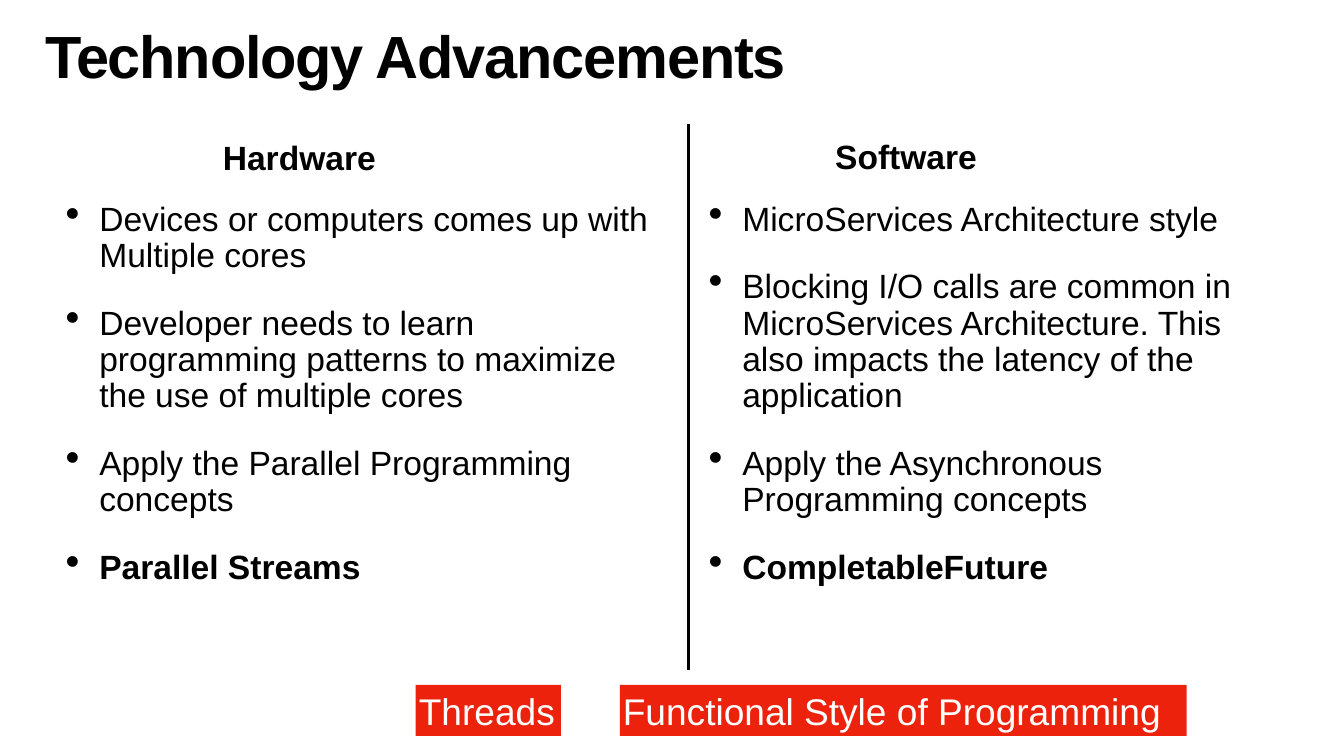
"""Build the Technology Advancements slide: two bulleted columns and two tags."""
from dataclasses import dataclass

from lxml import etree
from pptx import Presentation
from pptx.dml.color import RGBColor
from pptx.enum.shapes import MSO_CONNECTOR, MSO_SHAPE
from pptx.enum.text import MSO_ANCHOR, PP_ALIGN
from pptx.oxml.ns import qn
from pptx.util import Inches, Pt

LEFT, CENTER = PP_ALIGN.LEFT, PP_ALIGN.CENTER
TOP, MIDDLE = MSO_ANCHOR.TOP, MSO_ANCHOR.MIDDLE
STRAIGHT, RECTANGLE = MSO_CONNECTOR.STRAIGHT, MSO_SHAPE.RECTANGLE


@dataclass(frozen=True)
class Theme:
    font: str = "Arial"
    ink: RGBColor = RGBColor(0x00, 0x00, 0x00)
    paper: RGBColor = RGBColor(0xFF, 0xFF, 0xFF)
    accent: RGBColor = RGBColor(0xED, 0x22, 0x0D)
    title_size: int = 85
    body_size: int = 48
    tag_size: int = 53
    rule_width: int = 4
    inset: float = 0.06
    indent: float = 0.67


@dataclass(frozen=True)
class Area:
    left: float
    top: float
    width: float
    height: float

    def lengths(self) -> tuple:
        return tuple(Inches(side) for side in (self.left, self.top, self.width, self.height))


@dataclass(frozen=True)
class Column:
    heading: str
    heading_area: Area
    list_area: Area
    items: tuple[str, ...]


@dataclass(frozen=True)
class Tag:
    text: str
    area: Area


THEME = Theme()
COLUMNS = (
    Column("Hardware", Area(3.78, 2.66, 4.32, 0.9), Area(1.24, 3.95, 11.78, 9.03), (
        "Devices or computers comes up with Multiple cores",
        "Developer needs to learn programming patterns to maximize the use of multiple cores",
        "Apply the Parallel Programming concepts",
        "Parallel Streams",
    )),
    Column("Software", Area(16.49, 2.64, 2.98, 0.9), Area(14, 3.95, 11.69, 9.03), (
        "MicroServices Architecture style",
        "Blocking I/O calls are common in MicroServices Architecture. "
        "This also impacts the latency of the application",
        "Apply the Asynchronous Programming concepts",
        "CompletableFuture",
    )),
)
TAGS = (
    Tag("Functional Style of Programming", Area(12.3, 13.59, 11.25, 1.01)),
    Tag("Threads", Area(8.25, 13.59, 2.88, 1.01)),
)


def set_frame(frame, anchor) -> None:
    frame.word_wrap = True
    frame.vertical_anchor = anchor
    frame.margin_left = frame.margin_right = Inches(THEME.inset)
    frame.margin_top = frame.margin_bottom = Inches(THEME.inset)


def write(para, text: str, *, size: int, color=THEME.ink, bold=False, align=LEFT,
          line_spacing=1.0, tracking=0.0) -> None:
    para.alignment = align
    para.line_spacing = line_spacing
    span = para.add_run()
    span.text = text
    span.font.name = THEME.font
    span.font.size = Pt(size)
    span.font.bold = bold
    span.font.color.rgb = color
    if tracking:
        span.font._element.set("spc", str(round(tracking * 100)))


def add_bullet(para) -> None:
    para.space_before = Pt(45)
    properties = para._p.get_or_add_pPr()
    properties.set("marL", str(Inches(THEME.indent)))
    properties.set("indent", str(-Inches(THEME.indent)))
    etree.SubElement(properties, qn("a:buSzPct"), val="123000")
    etree.SubElement(properties, qn("a:buChar"), char="•")


def add_label(page, area: Area, text: str, *, anchor=TOP, **text_format) -> None:
    box = page.shapes.add_textbox(*area.lengths())
    set_frame(box.text_frame, anchor)
    write(box.text_frame.paragraphs[0], text, **text_format)


def add_list(page, area: Area, items: tuple[str, ...]) -> None:
    frame = page.shapes.add_textbox(*area.lengths()).text_frame
    set_frame(frame, TOP)
    for index, item in enumerate(items):
        para = frame.add_paragraph() if index else frame.paragraphs[0]
        write(para, item, size=THEME.body_size, bold=index == len(items) - 1, line_spacing=0.9)
        add_bullet(para)


def add_column(page, column: Column) -> None:
    add_list(page, column.list_area, column.items)
    add_label(page, column.heading_area, column.heading, anchor=MIDDLE,
              size=THEME.body_size, bold=True, align=CENTER)


def add_divider(page, x: float, top: float, bottom: float) -> None:
    rule = page.shapes.add_connector(STRAIGHT, Inches(x), Inches(bottom), Inches(x), Inches(top))
    rule.line.color.rgb = THEME.ink
    rule.line.width = Pt(THEME.rule_width)
    etree.SubElement(rule._element.spPr, qn("a:effectLst"))


def add_tag(page, tag: Tag) -> None:
    box = page.shapes.add_shape(RECTANGLE, *tag.area.lengths())
    box.shadow.inherit = False
    box.fill.solid()
    box.fill.fore_color.rgb = THEME.accent
    box.line.fill.background()
    set_frame(box.text_frame, MIDDLE)
    write(box.text_frame.paragraphs[0], tag.text, size=THEME.tag_size, color=THEME.paper)


def main() -> None:
    deck = Presentation()
    deck.slide_width, deck.slide_height = Inches(26.67), Inches(15)
    page = deck.slides.add_slide(deck.slide_layouts[6])
    page.background.fill.solid()
    page.background.fill.fore_color.rgb = THEME.paper
    add_label(page, Area(0.84, 0.59, 24.03, 1.57), "Technology Advancements",
              size=THEME.title_size, bold=True, line_spacing=0.8, tracking=-1.7)
    for column in COLUMNS:
        add_column(page, column)
    add_divider(page, 13.67, 2.46, 13.29)
    for tag in TAGS:
        add_tag(page, tag)
    deck.save("out.pptx")


if __name__ == "__main__":
    main()
